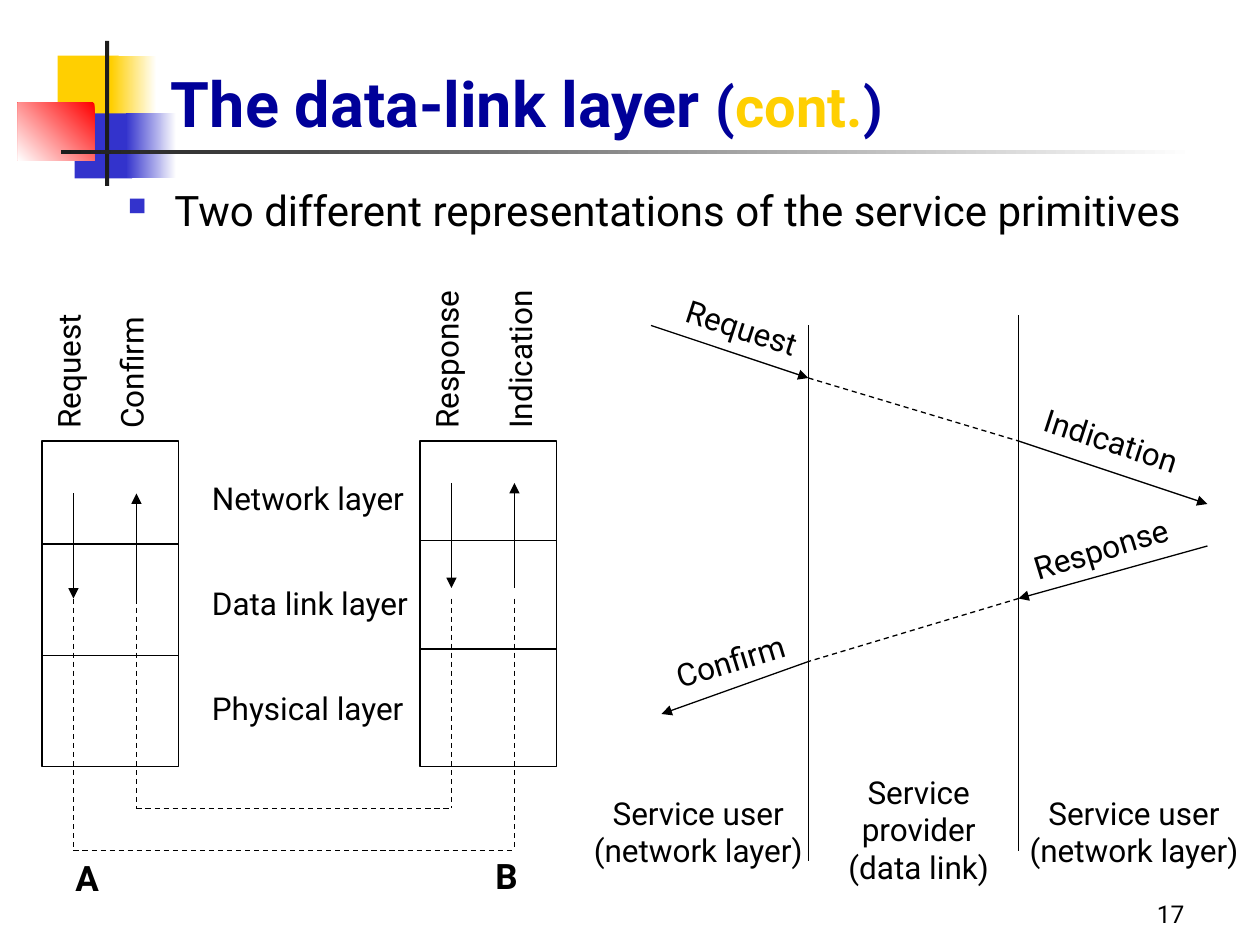
from pptx import Presentation
from pptx.dml.color import RGBColor
from pptx.enum.dml import MSO_LINE_DASH_STYLE as Dash
from pptx.enum.shapes import MSO_CONNECTOR as Connector, MSO_SHAPE as Shape
from pptx.enum.text import MSO_ANCHOR as Anchor, PP_ALIGN as Align
from pptx.oxml.ns import qn
from pptx.util import Inches, Pt
from lxml.etree import SubElement

COLORS = {"black": "000000", "white": "FFFFFF", "navy": "000099", "yellow": "FFCF01",
          "blue": "3333CC", "red": "FF0000", "ink": "1C1C1C"}
COLORS = {name: RGBColor.from_string(value) for name, value in COLORS.items()}

deck = Presentation()
deck.slide_width, deck.slide_height = Inches(10), Inches(7.5)
page = deck.slides.add_slide(deck.slide_layouts[6])
CELL = deck.slide_width / 120


def add_text(spans, left, top, width, height, size=18, bold=False, align=Align.LEFT,
             anchor=Anchor.TOP, angle=0):
    box = page.shapes.add_textbox(*[round(n * CELL) for n in (left, top, width, height)])
    box.rotation = angle
    frame = box.text_frame
    frame.word_wrap = True
    frame.vertical_anchor = anchor
    para = frame.paragraphs[0]
    para.alignment = align
    for words, color, span_size in ([(spans, "black", size)] if isinstance(spans, str) else spans):
        span = para.add_run()
        span.text = words
        span.font.name = "Roboto"
        span.font.size = Pt(span_size)
        span.font.bold = bold
        span.font.color.rgb = COLORS[color]
    return para


def add_line(x1, y1, x2, y2, style="solid"):
    line = page.shapes.add_connector(Connector.STRAIGHT,
                                     *[round(n * CELL) for n in (x1, y1, x2, y2)])
    line.line.color.rgb = COLORS["black"]
    line.line.width = Pt(0.74)
    if style == "dash":
        line.line.dash_style = Dash.DASH
    if style == "arrow":
        SubElement(line.line._get_or_add_ln(), qn("a:tailEnd"), type="triangle")
    SubElement(line._element.spPr, qn("a:effectLst"))


decorations = [
    (5.5, 5.3, 5.8, 6.2, ["yellow"], 0),
    (10.6, 5.3, 4.3, 6.2, ["white", "yellow"], 180),
    (7.1, 10.8, 5.5, 6.2, ["blue"], 0),
    (12, 10.8, 4.8, 6.2, ["white", "blue"], 180),
    (1.7, 9.8, 7.3, 5.5, ["red", "white"], 225),
    (10, 3.9, 0.4, 13.8, ["ink"], 0),
    (5.8, 14.3, 108, 0.4, ["white", "ink"], 180),
]
stacks = [(4, 42, 13, 31, ["white"], 0), (40, 42, 13, 31, ["white"], 0)]
for left, top, width, height, tones, angle in decorations + stacks:
    block = page.shapes.add_shape(Shape.RECTANGLE,
                                  *[round(n * CELL) for n in (left, top, width, height)])
    block.shadow.inherit = False
    block.line.fill.background()
    if len(tones) == 2:
        block.fill.gradient()
        block.fill.gradient_angle = angle
        for position, (stop, tone) in enumerate(zip(block.fill.gradient_stops, tones)):
            stop.position = position
            stop.color.rgb = COLORS[tone]
    elif tones == ["white"]:
        block.fill.background()
        block.line.color.rgb = COLORS["black"]
        block.line.width = Pt(0.74)
    else:
        block.fill.solid()
        block.fill.fore_color.rgb = COLORS[tones[0]]

add_text([("The data-link layer ", "navy", 36), ("(", "navy", 32),
          ("cont.", "yellow", 32), (")", "navy", 32)],
         15.1, -1.1, 102.2, 15, bold=True, anchor=Anchor.BOTTOM)

bullet = add_text("Two different representations of the service primitives",
                  11, 17, 106.6, 63.5, size=24)
bullet_format = bullet._p.get_or_add_pPr()
bullet_format.set("marL", str(Inches(0.37)))
bullet_format.set("indent", str(-Inches(0.37)))
SubElement(SubElement(bullet_format, qn("a:buClr")), qn("a:srgbClr"), val=str(COLORS["blue"]))
SubElement(bullet_format, qn("a:buSzPct"), val="60000")
SubElement(bullet_format, qn("a:buChar"), char="■")

for left, rows in ((4, (51.8, 62.4)), (40, (51.5, 61.8))):
    for row in rows:
        add_line(left, row, left + 13, row)

for index, layer in enumerate(("Network layer", "Data link layer", "Physical layer")):
    add_text(layer, 19, 45 + 10 * index, 23, 4.8)

for column, start, end, bottom in ((7, 47, 57, 81), (13, 57, 47, 77),
                                   (43, 46, 56, 77), (49, 56, 46, 81)):
    add_line(column, start, column, end, "arrow")
    add_line(column, 57, column, bottom, "dash")
add_line(13, 77, 43, 77, "dash")
add_line(7, 81, 49, 81, "dash")

for station, left, top in (("A", 6, 81), ("B", 46, 80.8)):
    add_text(station, left, top, 6, 5.3, size=20, bold=True)

for primitive, left in (("Request", -2), ("Confirm", 4), ("Response", 34), ("Indication", 41)):
    add_text(primitive, left, 31.1, 17, 4.8, angle=270)

add_line(77, 31, 77, 82)
add_line(97, 30, 97, 81)
for role, left, top, width in (("Service user (network layer)", 55, 75, 23),
                               ("Service user (network layer)", 96, 75, 24),
                               ("Service provider (data link)", 79, 73, 17)):
    add_text(role, left, top, width, 12, align=Align.CENTER)

for x1, y1, x2, y2, style in ((62, 31, 77, 36, "arrow"), (77, 36, 97, 42, "dash"),
                              (97, 42, 115, 48, "arrow"), (115, 52, 97, 57, "arrow"),
                              (97, 57, 77, 63, "dash"), (77, 63, 63, 68, "arrow")):
    add_line(x1, y1, x2, y2, style)

for primitive, left, top, width, angle in (("Request", 64, 28.9, 14, 18),
                                           ("Indication", 98, 40, 18.6, 18),
                                           ("Confirm", 63, 60.2, 15, 343),
                                           ("Response", 97, 49.4, 18.5, 343)):
    add_text(primitive, left, top, width, 4.8, angle=angle)

add_text("17", 89, 83, 25, 6, size=14, align=Align.RIGHT, anchor=Anchor.BOTTOM)

deck.save("out.pptx")
